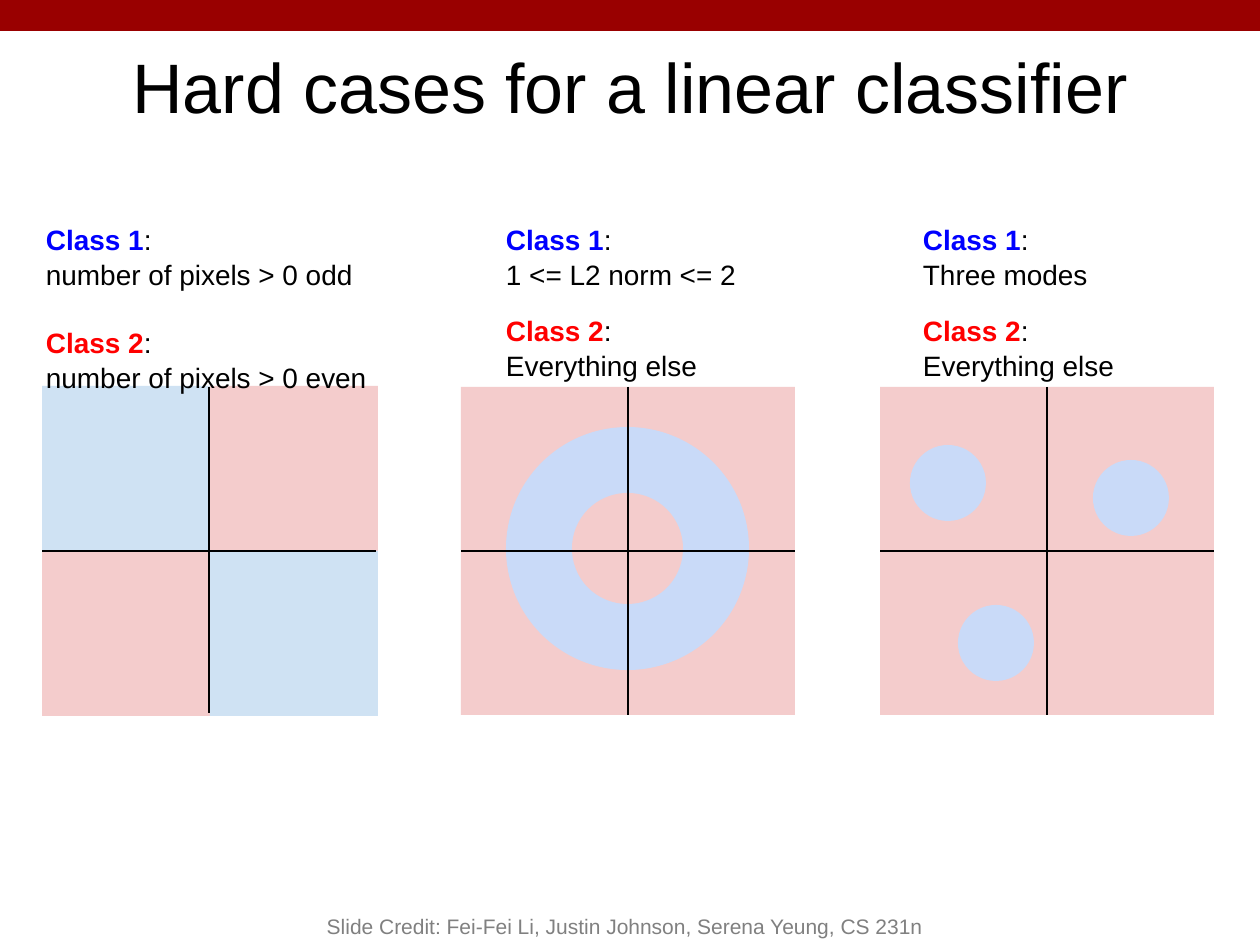
"""Build the slide on hard cases for a linear classifier."""
from lxml.etree import SubElement
from pptx import Presentation
from pptx.dml.color import RGBColor
from pptx.enum.shapes import MSO_CONNECTOR, MSO_SHAPE
from pptx.enum.text import MSO_ANCHOR, PP_ALIGN
from pptx.oxml.ns import qn
from pptx.util import Pt

PX = 914400 / 126
COLORS = {"bar": "990000", "pink": "F4CCCC", "sky": "CFE2F3", "blue": "C9DAF8",
          "class1": "0000FF", "class2": "FF0000", "black": "000000", "gray": "808080"}
RECT, OVAL = MSO_SHAPE.RECTANGLE, MSO_SHAPE.OVAL

TITLE = "Hard cases for a linear classifier"
CREDIT = "Slide Credit: Fei-Fei Li, Justin Johnson, Serena Yeung, CS 231n"
PANEL_LEFT, PANEL_TOP, PANEL_PITCH = 42, 387, 419
PANEL_W, PANEL_H = 334, 328
QUAD_W, QUAD_H = 168, 165
FULL_PANEL = (RECT, "pink", 0, 0, PANEL_W, PANEL_H)
CASES = [
    {"rules": ("number of pixels > 0 odd", "number of pixels > 0 even"),
     "label": (-9, 354, 156), "gap": 19,
     "areas": [(RECT, "sky" if row == col else "pink",
                col * QUAD_W, row * QUAD_H - 1, QUAD_W, QUAD_H)
               for row in range(2) for col in range(2)]},
    {"rules": ("1 <= L2 norm <= 2", "Everything else"),
     "label": (32, 273, 193), "gap": 12,
     "areas": [FULL_PANEL, (OVAL, "blue", 45, 40, 243, 243),
               (OVAL, "pink", 111, 106, 111, 111)]},
    {"rules": ("Three modes", "Everything else"),
     "label": (30, 273, 193), "gap": 12,
     "areas": [FULL_PANEL] + [(OVAL, "blue", x, y, 76, 76)
                              for x, y in ((30, 58), (213, 73), (78, 218))]},
]


def px(*lengths):
    return [round(length * PX) for length in lengths]


def rgb(name):
    return RGBColor.from_string(COLORS[name])


def add_area(slide, kind, color, *box):
    area = slide.shapes.add_shape(kind, *px(*box))
    area.shadow.inherit = False
    area.fill.solid()
    area.fill.fore_color.rgb = rgb(color)
    area.line.fill.background()
    return area


def add_text(slide, box, paragraphs, size, align=PP_ALIGN.LEFT,
             anchor=MSO_ANCHOR.TOP, inset=13, spacing=1.0):
    frame = slide.shapes.add_textbox(*px(*box)).text_frame
    frame.word_wrap = True
    frame.vertical_anchor = anchor
    frame.margin_left, frame.margin_right = px(13, 13)
    frame.margin_top, frame.margin_bottom = px(inset, inset)
    for i, (before, runs) in enumerate(paragraphs):
        paragraph = frame.add_paragraph() if i else frame.paragraphs[0]
        paragraph.alignment = align
        paragraph.line_spacing = spacing
        if before:
            paragraph.space_before = Pt(before)
        for text, color, bold in runs:
            run = paragraph.add_run()
            run.text = text
            run.font.name, run.font.size, run.font.bold = "Arial", Pt(size), bold
            run.font.color.rgb = rgb(color)


def add_axis(slide, start, end, panel=None, sites=()):
    axis = slide.shapes.add_connector(MSO_CONNECTOR.STRAIGHT, *px(*start, *end))
    axis.line.color.rgb = rgb("black")
    axis.line.width = Pt(1.5)
    SubElement(axis._element.spPr, qn("a:effectLst"))
    if panel is not None:
        axis.begin_connect(panel, sites[0])
        axis.end_connect(panel, sites[1])


def add_case(slide, left, case):
    areas = [add_area(slide, kind, color, left + x, PANEL_TOP + y, w, h)
             for kind, color, x, y, w, h in case["areas"]]
    panel = areas[0] if case["areas"][0] == FULL_PANEL else None
    mid_x, mid_y = left + PANEL_W // 2, PANEL_TOP + PANEL_H // 2
    add_axis(slide, (mid_x, PANEL_TOP), (mid_x, PANEL_TOP + PANEL_H - 2), panel, (0, 2))
    add_axis(slide, (left + PANEL_W, mid_y), (left, mid_y), panel, (3, 1))

    offset, width, height = case["label"]
    lines = []
    for number, rule in enumerate(case["rules"], 1):
        lines.append((case["gap"] if number > 1 else 0,
                      [(f"Class {number}", f"class{number}", True), (":", "black", False)]))
        lines.append((0, [(rule, "black", False)]))
    add_text(slide, (left + offset, 208, width, height), lines, 16, spacing=1.04)


def main():
    deck = Presentation()
    deck.slide_width, deck.slide_height = px(1260, 945)
    slide = deck.slides.add_slide(deck.slide_layouts[6])
    add_area(slide, RECT, "bar", 0, 0, 1260, 31)
    for i, case in enumerate(CASES):
        add_case(slide, PANEL_LEFT + i * PANEL_PITCH, case)
    add_text(slide, (0, 31, 1260, 95), [(0, [(TITLE, "black", False)])], 40,
             align=PP_ALIGN.CENTER)
    add_text(slide, (252, 882, 746, 63), [(0, [(CREDIT, "gray", False)])], 12,
             align=PP_ALIGN.CENTER, anchor=MSO_ANCHOR.BOTTOM, inset=6)
    deck.save("out.pptx")


if __name__ == "__main__":
    main()
